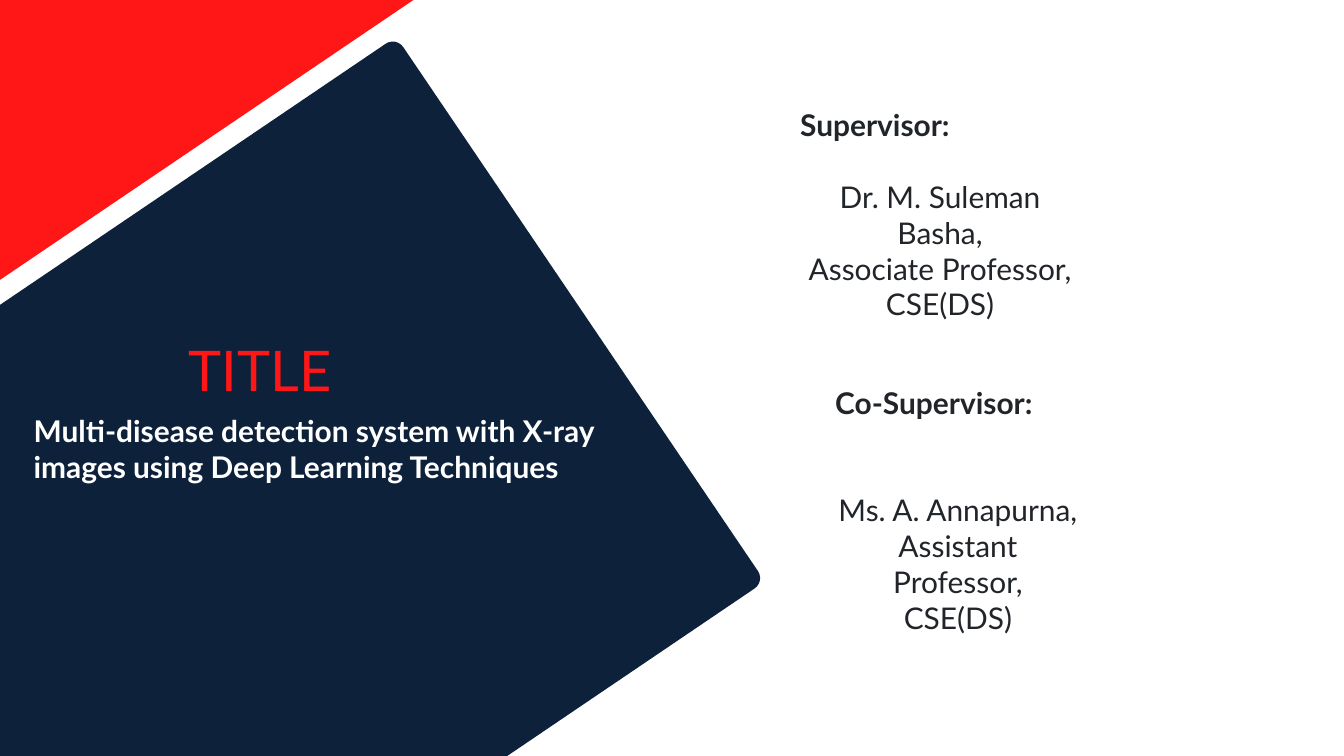
from pptx import Presentation
from pptx.dml.color import RGBColor
from pptx.enum.shapes import MSO_SHAPE as Shape
from pptx.enum.text import MSO_AUTO_SIZE as AutoSize, PP_ALIGN as Align
from pptx.util import Pt

NAVY = RGBColor(0x0D, 0x21, 0x3B)
RED = RGBColor(0xFF, 0x16, 0x16)
WHITE = RGBColor(0xFF, 0xFF, 0xFF)
CHARCOAL = RGBColor(0x21, 0x25, 0x29)


class SlideBuilder:
    font_name = "Lato"
    body_size = Pt(32)
    tilt = 55.9

    def __init__(self, slide):
        self.slide = slide

    def background(self, color):
        fill = self.slide.background.fill
        fill.solid()
        fill.fore_color.rgb = color

    def tilted_panel(self, left, top, width, height, radius, color):
        shape = self.slide.shapes.add_shape(
            Shape.ROUNDED_RECTANGLE, Pt(left), Pt(top), Pt(width), Pt(height))
        shape.adjustments[0] = radius / min(width, height)
        shape.rotation = self.tilt
        shape.shadow.inherit = False
        shape.fill.solid()
        shape.fill.fore_color.rgb = color
        shape.line.fill.background()

    def text_box(self, left, top, width, height, inset=None):
        box = self.slide.shapes.add_textbox(Pt(left), Pt(top), Pt(width), Pt(height))
        frame = box.text_frame
        frame.word_wrap = True
        frame.auto_size = AutoSize.SHAPE_TO_FIT_TEXT
        if inset is not None:
            for side in ("left", "top", "right", "bottom"):
                setattr(frame, f"margin_{side}", Pt(inset))
        return frame

    def styled_text(self, paragraph, text, color, layout=None, **font_format):
        for name, value in (layout or {}).items():
            setattr(paragraph, name, value)
        run = paragraph.add_run()
        run.text = text
        font_values = {"name": self.font_name, "size": self.body_size, "bold": False}
        for name, value in (font_values | font_format).items():
            setattr(run.font, name, value)
        run.font.color.rgb = color

    def heading(self, left, top, width, height, text, color, layout=None, **font_format):
        frame = self.text_box(left, top, width, height, inset=0)
        self.styled_text(frame.paragraphs[0], text, color, layout, **font_format)

    def person(self, left, top, width, height, role, gap, lines):
        frame = self.text_box(left, top, width, height)
        role_layout = {"alignment": Align.LEFT, "space_after": Pt(gap)}
        self.styled_text(frame.paragraphs[0], role, CHARCOAL, role_layout, bold=True)
        for line in lines:
            self.styled_text(frame.add_paragraph(), line, CHARCOAL,
                             {"alignment": Align.CENTER})


def main():
    presentation = Presentation()
    presentation.slide_width = Pt(1440)
    presentation.slide_height = Pt(810)
    builder = SlideBuilder(presentation.slides.add_slide(presentation.slide_layouts[6]))

    builder.background(WHITE)
    builder.tilted_panel(-67, 152.6, 704.9, 812.9, 13.4, NAVY)
    builder.heading(202.3, 347, 326.2, 76.3, "TITLE", RED,
                    {"line_spacing": Pt(84)}, size=Pt(60))
    builder.heading(36, 442, 659.5, 77.8,
                    "Multi-disease detection system with X-ray images "
                    "using Deep Learning Techniques", WHITE, bold=True)
    builder.tilted_panel(2.2, -276.5, 275.8, 630, 33.8, RED)
    builder.person(850.3, 110.9, 313.9, 200.9, "Supervisor:", 38.4,
                   ["Dr. M. Suleman Basha,", "Associate Professor,", "CSE(DS)"])
    builder.person(887.8, 408.2, 277.2, 200.9, "Co-Supervisor:", 76.8,
                   ["Ms. A. Annapurna,", "Assistant Professor,", "CSE(DS)"])

    presentation.save("out.pptx")


if __name__ == "__main__":
    main()
